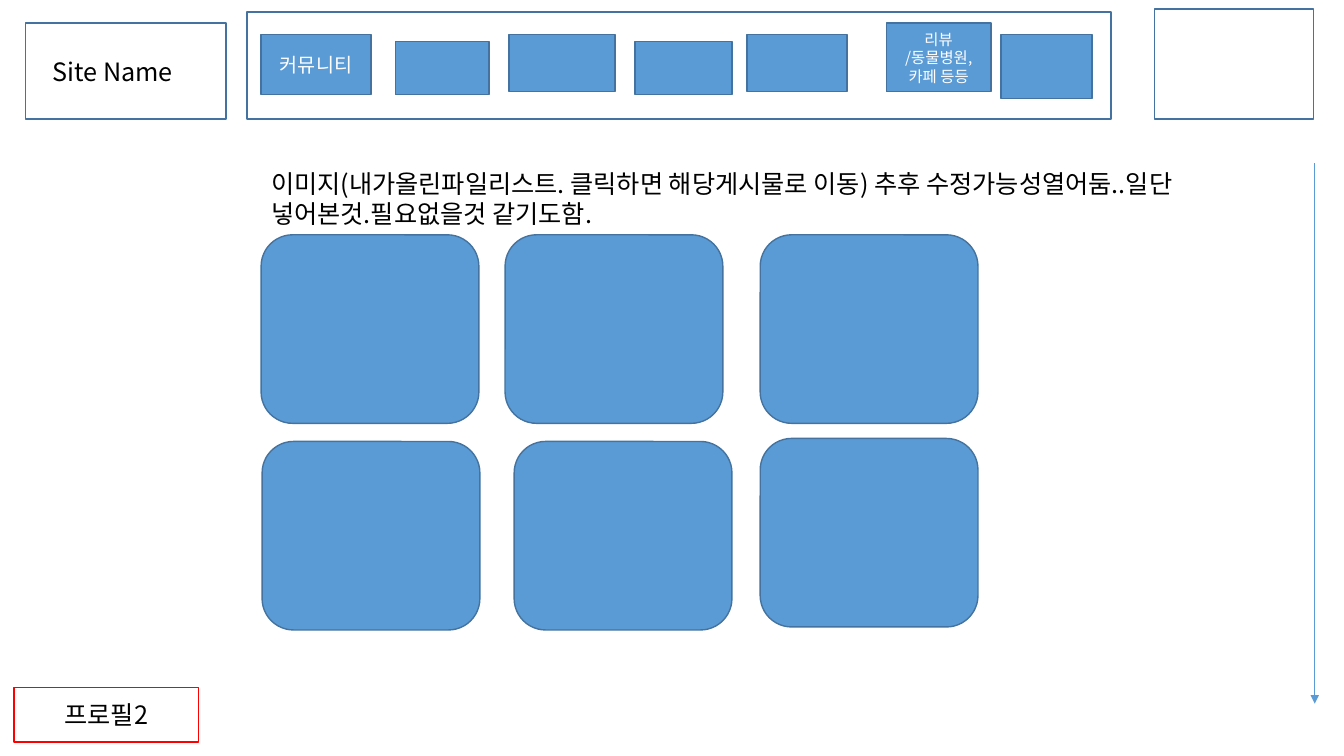
from lxml import etree
from pptx import Presentation
from pptx import util as u
from pptx.dml.color import RGBColor
from pptx.enum import shapes, text
from pptx.oxml.ns import qn

FACE = "Noto Sans CJK KR"
HUES = {"blue": "5B9BD5", "edge": "43739E", "red": "FF0000",
        "black": "000000", "white": "FFFFFF"}
RECT = shapes.MSO_SHAPE.RECTANGLE
ROUND = shapes.MSO_SHAPE.ROUNDED_RECTANGLE
LEFT, MID = text.PP_ALIGN.LEFT, text.PP_ALIGN.CENTER

# left, top, width, height, label, size
MENU = [
    (2.59, 0.34, 1.09, 0.6, "커뮤니티", 14),
    (3.92, 0.41, 0.93, 0.53, "", 14),
    (5.05, 0.34, 1.05, 0.57, "", 14),
    (6.3, 0.41, 0.96, 0.53, "", 14),
    (7.41, 0.34, 0.99, 0.57, "", 14),
    (8.79, 0.23, 1.04, 0.68, "리뷰\n/동물병원, 카페 등등", 11),
    (9.93, 0.34, 0.9, 0.64, "", 14),
]
CARDS = [(2.59, 2.33), (5.01, 2.33), (7.54, 2.33),
         (2.6, 4.38), (5.1, 4.38), (7.54, 4.35)]
NOTE = ("이미지(내가올린파일리스트. 클릭하면 해당게시물로 이동) 추후 "
        "수정가능성열어둠..일단 넣어본것.필요없을것 같기도함.")


def hue(name):
    """Return the named colour."""
    return RGBColor.from_string(HUES[name])


def write(frame, words, size=18, ink="black", align=LEFT):
    """Put words into a frame, one paragraph a line."""
    frame.word_wrap = True
    frame.text = words
    for para in frame.paragraphs:
        para.alignment = align
        font = para.font
        font.size = u.Pt(size)
        font.color.rgb = hue(ink)
        font.name = FACE
        base = para._p.pPr.find(qn("a:defRPr"))
        etree.SubElement(base, qn("a:ea"), typeface=FACE)


def add_box(slide, spot, kind=RECT, fill=None, edge="edge"):
    """Add an outlined shape, filled if a colour is given."""
    box = slide.shapes.add_shape(kind, *map(u.Inches, spot))
    box.shadow.inherit = False
    if fill:
        box.fill.solid()
        box.fill.fore_color.rgb = hue(fill)
    else:
        box.fill.background()
    box.line.color.rgb = hue(edge)
    box.line.width = u.Pt(1)
    box.text_frame.vertical_anchor = text.MSO_ANCHOR.MIDDLE
    return box


def add_note(slide, spot, words):
    """Add a wrapped text box."""
    note = slide.shapes.add_textbox(*map(u.Inches, spot))
    write(note.text_frame, words)
    note.text_frame.auto_size = text.MSO_AUTO_SIZE.SHAPE_TO_FIT_TEXT


def add_arrow(slide, ends):
    """Add a thin line with a triangle at its end."""
    arrow = slide.shapes.add_connector(
        shapes.MSO_CONNECTOR.STRAIGHT, *map(u.Inches, ends))
    arrow.line.color.rgb = hue("blue")
    arrow.line.width = u.Pt(0.5)
    line = arrow.line._get_or_add_ln()
    etree.SubElement(line, qn("a:tailEnd"), type="triangle")
    etree.SubElement(arrow._element.spPr, qn("a:effectLst"))


def main():
    """Build the profile page wireframe."""
    deck = Presentation()
    deck.slide_width, deck.slide_height = u.Inches(13.33), u.Inches(7.5)
    slide = deck.slides.add_slide(deck.slide_layouts[6])

    page = add_box(slide, (0.14, 6.82, 1.83, 0.54), edge="red")
    write(page.text_frame, "프로필2", align=MID)
    add_box(slide, (2.45, 0.12, 8.57, 1.06))
    add_box(slide, (11.45, 0.09, 1.58, 1.09))

    for *spot, label, size in MENU:
        item = add_box(slide, spot, fill="blue")
        if label:
            write(item.text_frame, label, size, "white", MID)

    add_note(slide, (2.59, 1.62, 9.76, 0.71), NOTE)
    for left, top in CARDS:
        add_box(slide, (left, top, 2.16, 1.87), ROUND, "blue")
    add_arrow(slide, (13.04, 1.62, 13.04, 6.98))

    brand = add_box(slide, (0.25, 0.23, 1.99, 0.95))
    write(brand.text_frame, "Site Name")
    brand.text_frame.margin_left = u.Inches(0.27)
    deck.save("out.pptx")


main()
